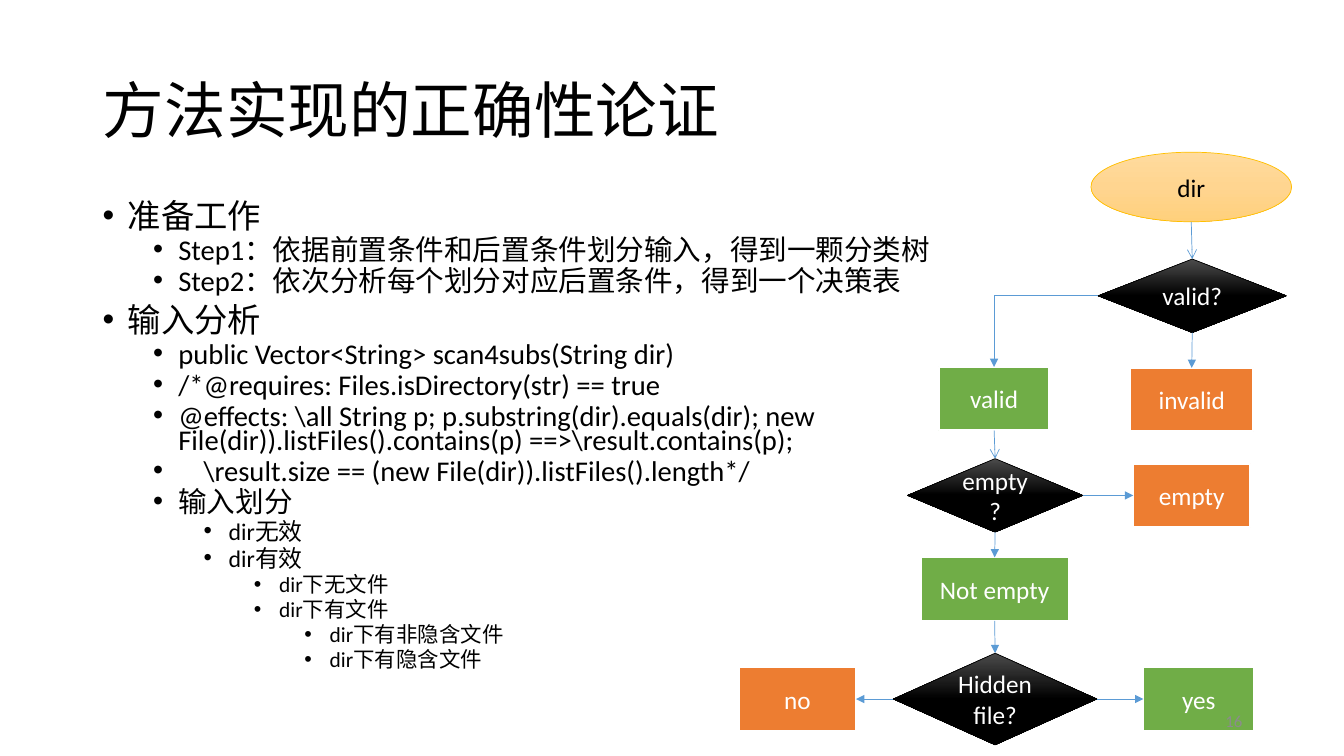
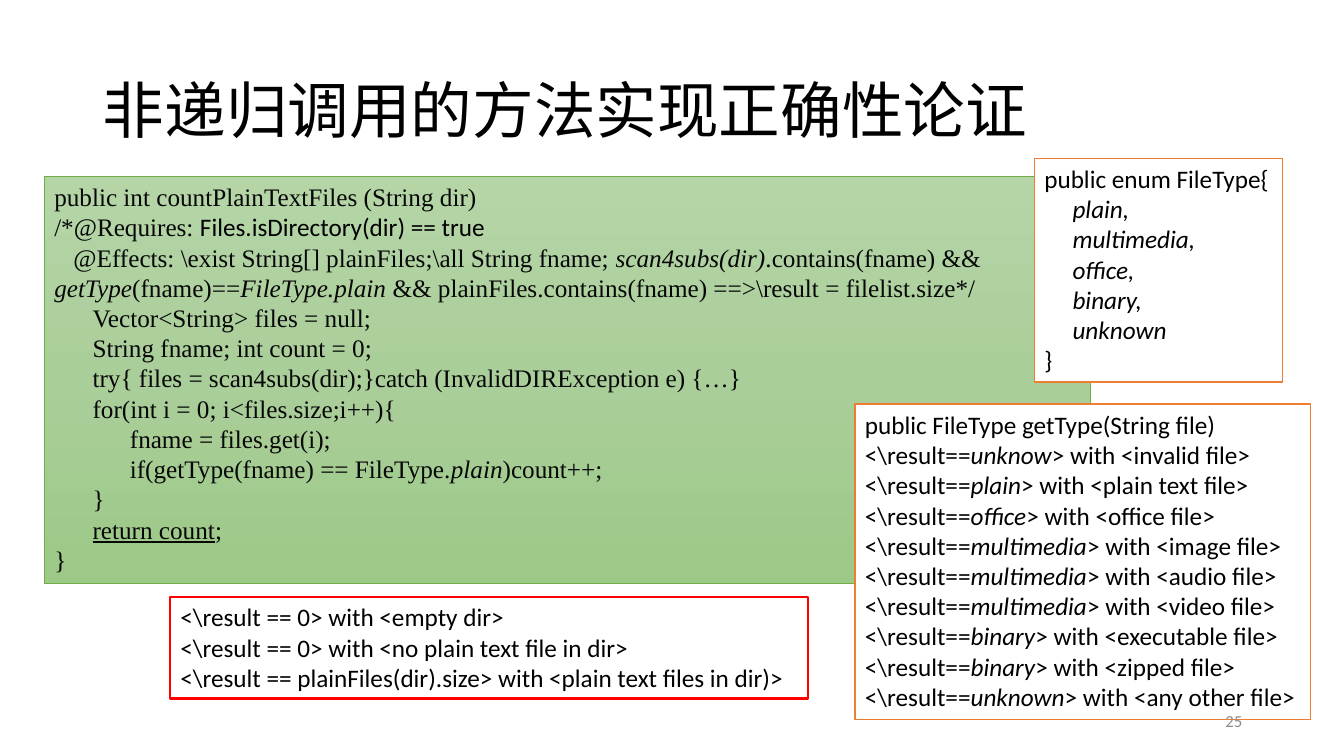
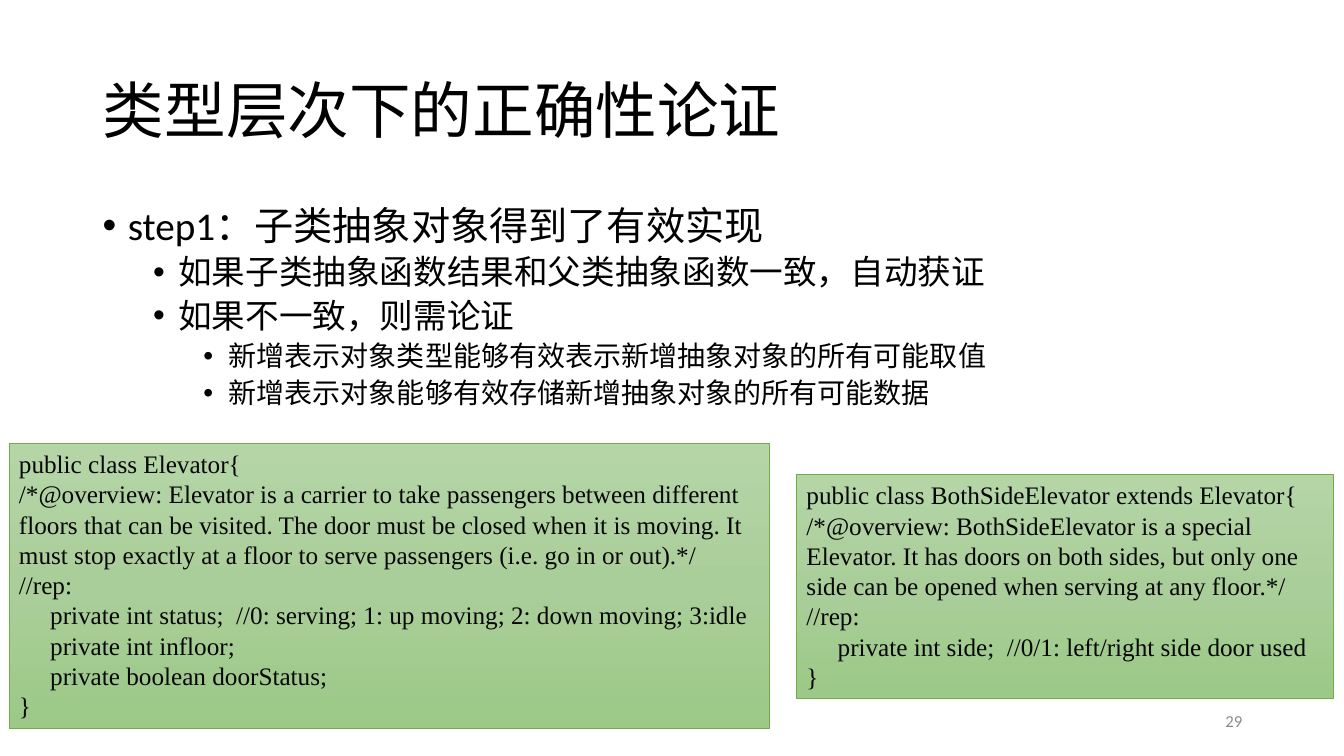
from dataclasses import dataclass, field
from typing import Any, Dict, List, Optional, Tuple

import lxml.etree
import pptx
import pptx.dml.color
import pptx.enum.dml
import pptx.enum.shapes
import pptx.enum.text
import pptx.oxml.ns
import pptx.shapes.base
import pptx.slide
import pptx.text.text
import pptx.util

Inches = pptx.util.Inches
qn = pptx.oxml.ns.qn
Box = Tuple[float, float, float, float]
Gradient = Tuple[str, str, str]
Shapes = pptx.enum.shapes.MSO_SHAPE
Align = pptx.enum.text.PP_ALIGN
Anchor = pptx.enum.text.MSO_ANCHOR
AutoSize = pptx.enum.text.MSO_AUTO_SIZE


# Shared look
@dataclass(frozen=True)
class Theme:
    font: str = "Calibri"
    code_font: str = "Times New Roman"
    ink: str = "000000"
    code_ink: str = "070707"
    white: str = "FFFFFF"
    green: str = "70AD47"
    orange: str = "ED7D31"
    red: str = "FF0000"
    gold: str = "FFC000"
    blue: str = "5B9BD5"
    grey: str = "8C8C8C"
    green_fade: Gradient = ("B5D5A7", "AACE9A", "9CC987")
    gold_fade: Gradient = ("FFDB9E", "FFD590", "FFD07C")
    black_fade: Gradient = ("4B4B4B", "000000", "000000")
    title_size: float = 44
    text_size: float = 18
    number_size: float = 12
    hairline: float = 0.5
    title_box: Box = (0.92, 0.4, 11.5, 1.45)
    number_box: Box = (9.42, 6.95, 3, 0.4)


THEME = Theme()


# Content types
@dataclass
class Span:
    text: str
    style: Dict[str, Any] = field(default_factory=dict)


@dataclass
class Line:
    spans: List[Span]
    indent: float = 0


@dataclass
class Bullet:
    level: int
    text: str
    gap: float = 0.25


@dataclass
class Panel:
    box: Box
    lines: List[Line]
    fill: Any
    border: str
    border_width: float
    font: str = THEME.font
    color: str = THEME.ink
    wrap: bool = True


@dataclass
class Node:
    text: str
    box: Box
    shape: Any
    fill: Any
    border: str = THEME.white
    border_width: float = 1.5
    color: str = THEME.white


@dataclass
class Arrow:
    source: str
    source_side: int
    target: str
    target_side: int
    head: str = "triangle"


# Drawing helpers
def rgb(color: str) -> pptx.dml.color.RGBColor:
    return pptx.dml.color.RGBColor.from_string(color)


def lengths(box: Box) -> List[int]:
    return [Inches(value) for value in box]


def apply(target: Any, values: Dict[str, Any]) -> None:
    for name, value in values.items():
        setattr(target, name, value)


def add_span(paragraph: Any, text: str, size: float, color: str = THEME.ink,
             font: str = THEME.font, style: Optional[Dict[str, Any]] = None) -> None:
    for index, piece in enumerate(text.split("\n")):
        if index:
            paragraph.add_line_break()
        run = paragraph.add_run()
        run.text = piece
        apply(run.font, {"size": pptx.util.Pt(size), "name": font, **(style or {})})
        run.font.color.rgb = rgb(color)


def paragraph_at(frame: pptx.text.text.TextFrame, index: int) -> Any:
    return frame.add_paragraph() if index else frame.paragraphs[0]


def paint(shape: Any, fill: Any, border: str, width: float) -> None:
    if isinstance(fill, str):
        shape.fill.solid()
        shape.fill.fore_color.rgb = rgb(fill)
    else:
        shape.fill.gradient()
        shape.fill.gradient_angle = 270
        stops = shape._element.spPr.find(qn("a:gradFill")).find(qn("a:gsLst"))
        for stop in list(stops):
            stops.remove(stop)
        for position, color in zip((0, 50000, 100000), fill):
            stop = lxml.etree.SubElement(stops, qn("a:gs"), pos=str(position))
            lxml.etree.SubElement(stop, qn("a:srgbClr"), val=color)
    shape.line.color.rgb = rgb(border)
    shape.line.width = pptx.util.Pt(width)


def add_titled_slide(deck: Any, text: str) -> pptx.slide.Slide:
    slide = deck.slides.add_slide(deck.slide_layouts[5])
    title = slide.shapes.title
    apply(title, dict(zip(("left", "top", "width", "height"), lengths(THEME.title_box))))
    apply(title.text_frame, {"vertical_anchor": Anchor.MIDDLE, "word_wrap": True,
                             "auto_size": AutoSize.NONE})
    paragraph = title.text_frame.paragraphs[0]
    apply(paragraph, {"alignment": Align.LEFT, "line_spacing": 0.9})
    add_span(paragraph, text, THEME.title_size)
    return slide


def add_page_number(slide: pptx.slide.Slide, number: int) -> None:
    frame = slide.shapes.add_textbox(*lengths(THEME.number_box)).text_frame
    apply(frame, {"word_wrap": True, "vertical_anchor": Anchor.MIDDLE})
    frame.paragraphs[0].alignment = Align.RIGHT
    add_span(frame.paragraphs[0], str(number), THEME.number_size, THEME.grey)


def add_outline(slide: pptx.slide.Slide, box: Box, bullets: List[Bullet],
                sizes: Tuple[float, ...], spacing: float) -> None:
    frame = slide.shapes.add_textbox(*lengths(box)).text_frame
    frame.word_wrap = True
    for index, bullet in enumerate(bullets):
        paragraph = paragraph_at(frame, index)
        apply(paragraph, {"level": bullet.level, "line_spacing": spacing,
                          "space_before": pptx.util.Pt(5 if bullet.level else 10)})
        properties = paragraph._p.get_or_add_pPr()
        properties.set("marL", str(Inches(bullet.level * 0.5 + bullet.gap)))
        properties.set("indent", str(Inches(-bullet.gap)))
        lxml.etree.SubElement(properties, qn("a:buFont"), typeface="Arial")
        lxml.etree.SubElement(properties, qn("a:buChar"), char="•")
        add_span(paragraph, bullet.text, sizes[bullet.level])


def add_panel(slide: pptx.slide.Slide, panel: Panel) -> None:
    shape = slide.shapes.add_textbox(*lengths(panel.box))
    paint(shape, panel.fill, panel.border, panel.border_width)
    apply(shape.text_frame, {"word_wrap": panel.wrap, "auto_size": AutoSize.SHAPE_TO_FIT_TEXT})
    for index, line in enumerate(panel.lines):
        paragraph = paragraph_at(shape.text_frame, index)
        if line.indent:
            paragraph._p.get_or_add_pPr().set("indent", str(Inches(line.indent)))
        for span in line.spans:
            style = {"name": panel.font, **span.style}
            add_span(paragraph, span.text, THEME.text_size,
                     THEME.ink if "name" in span.style else panel.color, style=style)


def add_node(slide: pptx.slide.Slide, node: Node) -> pptx.shapes.base.BaseShape:
    shape = slide.shapes.add_shape(node.shape, *lengths(node.box))
    shape.shadow.inherit = False
    paint(shape, node.fill, node.border, node.border_width)
    apply(shape.text_frame, {"word_wrap": True, "vertical_anchor": Anchor.MIDDLE})
    paragraph = shape.text_frame.paragraphs[0]
    paragraph.alignment = Align.CENTER
    add_span(paragraph, node.text, THEME.text_size, node.color)
    return shape


def add_arrow(slide: pptx.slide.Slide, arrow: Arrow, drawn: Dict[str, Any]) -> None:
    source, target = drawn[arrow.source], drawn[arrow.target]
    bent = (arrow.source_side, arrow.target_side) == (LEFT, TOP)
    kinds = pptx.enum.shapes.MSO_CONNECTOR
    connector = slide.shapes.add_connector(kinds.ELBOW if bent else kinds.STRAIGHT, 0, 0, 0, 0)
    connector.begin_connect(source, arrow.source_side)
    connector.end_connect(target, arrow.target_side)
    properties = connector._element.spPr
    if bent:
        properties.find(qn("a:prstGeom")).set("prst", "bentConnector2")
    if source.auto_shape_type == Shapes.OVAL:
        # An ellipse has eight connection sites, counted from the top
        start = next(connector._element.iter(qn("a:stCxn")))
        start.set("idx", str(arrow.source_side * 2))
    connector.line.color.rgb = rgb(THEME.blue)
    connector.line.width = pptx.util.Pt(THEME.hairline)
    lxml.etree.SubElement(properties.find(qn("a:ln")), qn("a:tailEnd"), type=arrow.head)
    lxml.etree.SubElement(properties, qn("a:effectLst"))


# Short forms for content
TOP, LEFT, BOTTOM, RIGHT = range(4)


def plain(text: str, indent: float = 0) -> Line:
    return Line([Span(text)], indent)


def italic(text: str) -> Span:
    return Span(text, {"italic": True})


def code_panel(box: Box, lines: List[Line]) -> Panel:
    return Panel(box, lines, THEME.green_fade, THEME.green, THEME.hairline,
                 THEME.code_font, THEME.code_ink)


def decision(text: str, box: Box) -> Node:
    return Node(text, box, Shapes.DIAMOND, THEME.black_fade, THEME.ink, THEME.hairline)


def outcome(text: str, box: Box, color: str) -> Node:
    return Node(text, box, Shapes.RECTANGLE, color)


# Slide 1: input analysis and decision flow
INPUT_ANALYSIS = [
    Bullet(0, "准备工作"),
    Bullet(1, "Step1:依据前置条件和后置条件划分输入,得到一颗分类树".replace(":", "：").replace(",", "，")),
    Bullet(1, "Step2:依次分析每个划分对应后置条件,得到一个决策表".replace(":", "：").replace(",", "，")),
    Bullet(0, "输入分析"),
    Bullet(1, "public Vector<String> scan4subs(String dir)"),
    Bullet(1, "/*@requires: Files.isDirectory(str) == true"),
    Bullet(1, "@effects: \\all String p; p.substring(dir).equals(dir); "
              "new File(dir)).listFiles().contains(p) ==>\\result.contains(p);"),
    Bullet(1, "\\result.size == (new File(dir)).listFiles().length*/", gap=0.5),
    Bullet(1, "输入划分"),
    Bullet(2, "dir无效"),
    Bullet(2, "dir有效"),
    Bullet(3, "dir下无文件"),
    Bullet(3, "dir下有文件"),
    Bullet(4, "dir下有非隐含文件"),
    Bullet(4, "dir下有隐含文件"),
]
FLOW_NODES = [
    Node("dir", (10.82, 1.51, 1.99, 0.69), Shapes.OVAL, THEME.gold_fade,
         THEME.gold, THEME.hairline, THEME.ink),
    decision("valid?", (10.89, 2.57, 1.87, 0.73)),
    decision("empty?", (9, 4.55, 1.74, 0.73)),
    outcome("invalid", (11.21, 3.65, 1.22, 0.63), THEME.orange),
    outcome("valid", (9.31, 3.64, 1.1, 0.63), THEME.green),
    outcome("empty", (11.24, 4.6, 1.16, 0.63), THEME.orange),
    outcome("Not empty", (9.13, 5.53, 1.47, 0.63), THEME.green),
    decision("Hidden file?", (8.86, 6.48, 2.02, 0.91)),
    outcome("yes", (11.34, 6.62, 1.1, 0.63), THEME.green),
    outcome("no", (7.33, 6.62, 1.16, 0.63), THEME.orange),
]
FLOW_ARROWS = [
    Arrow("dir", BOTTOM, "valid?", TOP, "arrow"),
    Arrow("valid", BOTTOM, "empty?", TOP, "arrow"),
    Arrow("valid?", BOTTOM, "invalid", TOP),
    Arrow("valid?", LEFT, "valid", TOP),
    Arrow("empty?", RIGHT, "empty", LEFT),
    Arrow("empty?", BOTTOM, "Not empty", TOP),
    Arrow("Not empty", BOTTOM, "Hidden file?", TOP),
    Arrow("Hidden file?", LEFT, "no", RIGHT),
    Arrow("Hidden file?", RIGHT, "yes", LEFT),
]


def build_input_analysis(deck: Any) -> None:
    slide = add_titled_slide(deck, "方法实现的正确性论证")
    add_outline(slide, (0.92, 2, 8.92, 4.76), INPUT_ANALYSIS, (23.8, 20.4, 17, 15.3, 15.3), 0.7)
    drawn = {node.text: add_node(slide, node) for node in FLOW_NODES}
    for arrow in FLOW_ARROWS:
        add_arrow(slide, arrow, drawn)
    add_page_number(slide, 16)


# Slide 2: a method without recursion
STEP, DEEP_STEP, MEMBER = 0.38, 0.75, 0.28
COUNT_METHOD = [
    plain("public int countPlainTextFiles (String dir)"),
    Line([Span("/*@Requires: "), Span("Files.isDirectory(dir) == true", {"name": THEME.font})]),
    Line([Span("@Effects: \\exist String[] plainFiles;\\all String fname; "),
          italic("scan4subs(dir)"), Span(".contains(fname) && "), italic("getType"),
          Span("(fname)=="), italic("FileType.plain"),
          Span(" && plainFiles.contains(fname) ==>\\result = filelist.size*/")], 0.19),
    plain("Vector<String> files = null;", STEP),
    plain("String fname; int count = 0;", STEP),
    plain("try{ files = scan4subs(dir);}catch (InvalidDIRException e) {…}", STEP),
    plain("for(int i = 0; i<files.size;i++){", STEP),
    plain("fname = files.get(i);", DEEP_STEP),
    Line([Span("if(getType(fname) == FileType."), italic("plain"), Span(")count++;")], DEEP_STEP),
    plain("}", STEP),
    Line([Span("return count", {"underline": True}), Span(";")], STEP),
    plain("}"),
]
FILE_TYPES = [
    plain("public enum FileType{"),
    *[Line([italic(member)], MEMBER)
      for member in ("plain,", "multimedia,", "office,", "binary,", "unknown")],
    plain("}"),
]
TYPE_CASES = [
    ("unknow", "invalid"), ("plain", "plain text"), ("office", "office"),
    ("multimedia", "image"), ("multimedia", "audio"), ("multimedia", "video"),
    ("binary", "executable"), ("binary", "zipped"), ("unknown", "any other"),
]
TYPE_METHOD = [
    plain("public FileType getType(String file)"),
    *[Line([Span("<\\result=="), italic(result), Span(f"> with <{kind} file>")])
      for result, kind in TYPE_CASES],
]
COUNT_CASES = [
    plain("<\\result == 0> with <empty dir>"),
    plain("<\\result == 0> with <no plain text file in dir>"),
    plain("<\\result == plainFiles(dir).size> with <plain text files in dir)>"),
]


def build_count_method(deck: Any) -> None:
    slide = add_titled_slide(deck, "非递归调用的方法实现正确性论证")
    for panel in (
        code_panel((0.44, 1.75, 10.37, 4.04), COUNT_METHOD),
        Panel((10.26, 1.57, 2.46, 2.22), FILE_TYPES, THEME.white, THEME.orange, 1, wrap=False),
        Panel((8.48, 4.01, 4.52, 3.13), TYPE_METHOD, THEME.white, THEME.orange, 1, wrap=False),
        Panel((1.69, 5.92, 6.32, 1.01), COUNT_CASES, THEME.white, THEME.red, 1.5),
    ):
        add_panel(slide, panel)
    add_page_number(slide, 25)


# Slide 3: type hierarchy
SUBTYPE_STEPS = [
    Bullet(0, "step1：子类抽象对象得到了有效实现"),
    Bullet(1, "如果子类抽象函数结果和父类抽象函数一致，自动获证"),
    Bullet(1, "如果不一致，则需论证"),
    Bullet(2, "新增表示对象类型能够有效表示新增抽象对象的所有可能取值"),
    Bullet(2, "新增表示对象能够有效存储新增抽象对象的所有可能数据"),
]
FIELD = 0.31
ELEVATOR = [
    plain("public class Elevator{\n/*@overview: Elevator is a carrier to take passengers between "
          "different floors that can be visited. The door must be closed when it is moving. "
          "It must stop exactly at a floor to serve passengers (i.e. go in or out).*/"),
    plain("//rep:"),
    plain("private int status;  //0: serving; 1: up moving; 2: down moving; 3:idle", FIELD),
    plain("private int infloor;", FIELD),
    plain("private boolean doorStatus;", FIELD),
    plain("}"),
]
BOTH_SIDE_ELEVATOR = [
    plain("public class BothSideElevator extends Elevator{\n/*@overview: BothSideElevator is a "
          "special Elevator. It has doors on both sides, but only one side can be opened when "
          "serving at any floor.*/"),
    plain("//rep:"),
    plain("private int side;  //0/1: left/right side door used", FIELD),
    plain("}"),
]


def build_type_hierarchy(deck: Any) -> None:
    slide = add_titled_slide(deck, "类型层次下的正确性论证")
    add_outline(slide, (0.92, 2, 11.5, 2.26), SUBTYPE_STEPS, (28, 24, 20), 0.9)
    add_panel(slide, code_panel((0.09, 4.4, 7.54, 2.83), ELEVATOR))
    add_panel(slide, code_panel((7.9, 4.71, 5.32, 2.22), BOTH_SIDE_ELEVATOR))
    add_page_number(slide, 29)


def main() -> None:
    deck = pptx.Presentation()
    apply(deck, {"slide_width": Inches(13.33), "slide_height": Inches(7.5)})
    for build in (build_input_analysis, build_count_method, build_type_hierarchy):
        build(deck)
    deck.save("out.pptx")


main()
